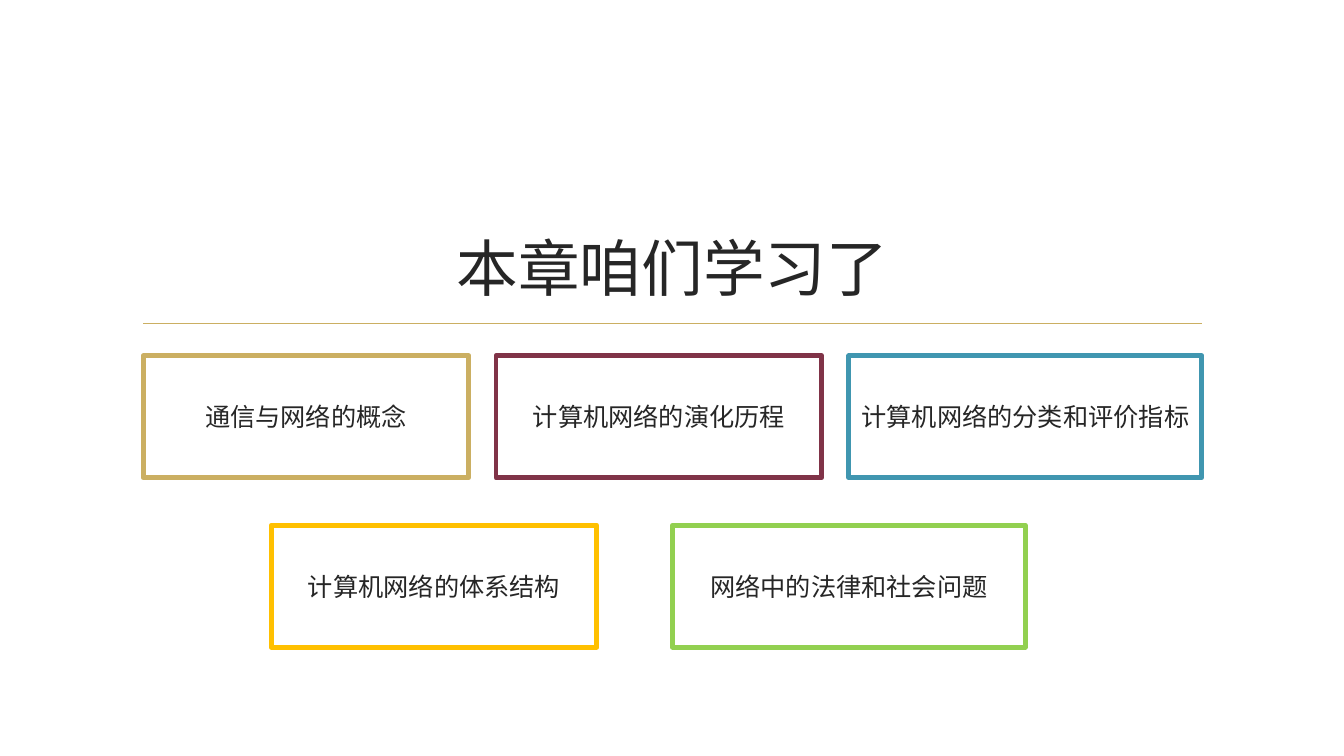
from lxml.etree import SubElement
from pptx import Presentation
from pptx.dml.color import RGBColor
from pptx.enum.shapes import MSO_CONNECTOR, MSO_SHAPE
from pptx.enum.text import MSO_ANCHOR, PP_ALIGN
from pptx.oxml.ns import qn
from pptx.util import Inches, Pt

FONT, INK, GOLD = "Noto Sans CJK SC", "262626", "CBAF62"
TITLE = "本章咱们学习了"
LEFT, WIDTH = 1.42, 10.5
RULE_Y = 3.21
BOX_H = 1.21

# Each row: left, top, gap, then its boxes as (text, colour, width)
ROWS = [
    (LEFT, 3.53, 0.27, [
        ("通信与网络的概念", GOLD, 3.23),
        ("计算机网络的演化历程", "803348", 3.23),
        ("计算机网络的分类和评价指标", "4096B0", 3.5),
    ]),
    (2.69, 5.21, 0.75, [
        ("计算机网络的体系结构", "FFC000", 3.23),
        ("网络中的法律和社会问题", "92D050", 3.5),
    ]),
]


def paint(fmt, color):
    """Give a font or a line a solid colour."""
    fmt.fill.solid()
    fmt.fill.fore_color.rgb = RGBColor.from_string(color)


def write(shape, text, size, anchor):
    frame = shape.text_frame
    frame.word_wrap = True
    frame.vertical_anchor = anchor
    para = frame.paragraphs[0]
    para.alignment = PP_ALIGN.CENTER
    run = para.add_run()
    run.text = text
    for name, value in {"name": FONT, "size": Pt(size)}.items():
        setattr(run.font, name, value)
    paint(run.font, INK)
    # Chinese characters take the East Asian font slot
    SubElement(run.font._element, qn("a:ea"), typeface=FONT)


def add_rule(slide):
    y = Inches(RULE_Y)
    rule = slide.shapes.add_connector(
        MSO_CONNECTOR.STRAIGHT, Inches(LEFT), y, Inches(LEFT + WIDTH), y)
    paint(rule.line, GOLD)
    rule.line.width = Pt(1.25)
    SubElement(rule._element.spPr, qn("a:effectLst"))


def add_box(slide, text, color, *area):
    box = slide.shapes.add_shape(MSO_SHAPE.RECTANGLE, *map(Inches, area))
    box.shadow.inherit = False
    box.fill.background()
    paint(box.line, color)
    box.line.width = Pt(3.5)
    write(box, text, 18, MSO_ANCHOR.MIDDLE)


def main():
    deck = Presentation()
    deck.slide_width, deck.slide_height = Inches(13.33), Inches(7.5)
    slide = deck.slides.add_slide(deck.slide_layouts[6])
    add_rule(slide)
    title = slide.shapes.add_textbox(*map(Inches, (LEFT, 1.07, WIDTH, 1.99)))
    write(title, TITLE, 44, MSO_ANCHOR.BOTTOM)
    for x, y, gap, boxes in ROWS:
        for text, color, width in boxes:
            add_box(slide, text, color, x, y, width, BOX_H)
            x += width + gap
    deck.save("out.pptx")


if __name__ == "__main__":
    main()
